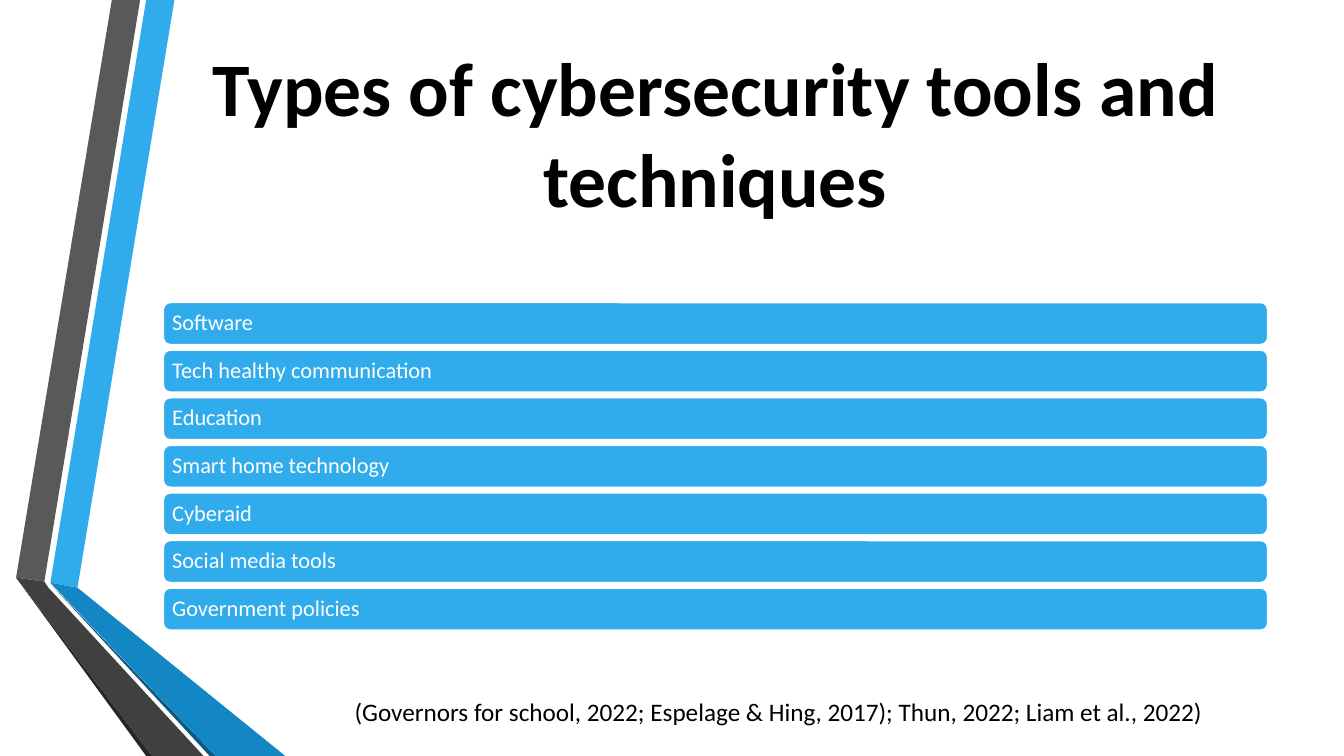
from typing import NamedTuple

from pptx import Presentation
from pptx.dml.color import RGBColor as Rgb
from pptx.enum.shapes import MSO_SHAPE as Kind
from pptx.enum.text import MSO_ANCHOR as Anchor, MSO_AUTO_SIZE as Fit, PP_ALIGN as Align
from pptx.util import Pt

FACE = "Calibri"
BLUE, WHITE, BLACK = "30ACEC", "FFFFFF", "000000"
LEFT, WIDTH = 116.6, 789
FIRST, STEP, TALL = 216, 34, 30.2


class Band(NamedTuple):
    color: str
    points: list[tuple[float, float]]


BANDS = [
    Band(BLUE, [(36, 416.2), (55.4, 419.8), (124.6, 0), (104.4, 0)]),
    Band("595959", [(100.1, 0), (79.9, 0), (11.5, 412.6), (31.7, 415.4)]),
    Band("262626", [(11.5, 412.6), (104.4, 540), (108.7, 540)]),
    Band("0C5A82", [(36, 416.9), (149.8, 540), (154.1, 540)]),
    Band("1287C3", [(36, 416.2), (154.1, 540), (203.8, 540), (55.4, 419.8)]),
    Band("404040", [(145.4, 540), (34.6, 419.8), (31.7, 415.4),
                    (11.5, 412.6), (108.7, 540)]),
]

TOOLS = [
    "Software",
    "Tech healthy communication",
    "Education",
    "Smart home technology",
    "Cyberaid",
    "Social media tools",
    "Government policies",
]


def paint(target, color: str) -> None:
    """Give a fill a solid colour."""
    target.solid()
    target.fore_color.rgb = Rgb.from_string(color)


def style(para, size: float, color: str, bold: bool = False) -> None:
    font = para.font
    font.name, font.size, font.bold = FACE, Pt(size), bold
    paint(font.fill, color)


def place(shape, left: float, top: float, width: float, height: float) -> None:
    shape.left, shape.top = Pt(left), Pt(top)
    shape.width, shape.height = Pt(width), Pt(height)


def draw_band(shapes, band: Band) -> None:
    start, *rest = [(Pt(x), Pt(y)) for x, y in band.points]
    pen = shapes.build_freeform(*start)
    pen.add_line_segments(rest, close=True)
    shape = pen.convert_to_shape()
    shape.shadow.inherit = False
    paint(shape.fill, band.color)
    shape.line.fill.background()


def draw_bar(shapes, text: str, top: float) -> None:
    bar = shapes.add_shape(Kind.ROUNDED_RECTANGLE, Pt(LEFT), Pt(top), Pt(WIDTH), Pt(TALL))
    bar.shadow.inherit = False
    bar.adjustments[0] = 0.167
    paint(bar.fill, BLUE)
    paint(bar.line.fill, WHITE)
    bar.line.width = Pt(1.25)
    frame = bar.text_frame
    frame.word_wrap = True
    frame.vertical_anchor = Anchor.MIDDLE
    frame.margin_left = frame.margin_right = Pt(5)
    frame.margin_top = frame.margin_bottom = Pt(5)
    para = frame.paragraphs[0]
    para.text = text
    para.alignment = Align.LEFT
    para.line_spacing = 0.9
    para.space_after = Pt(5.6)
    style(para, 16, WHITE)


def main() -> None:
    deck = Presentation()
    deck.slide_width, deck.slide_height = Pt(960), Pt(540)
    slide = deck.slides.add_slide(deck.slide_layouts[5])
    shapes = slide.shapes

    # Side ribbons
    for band in BANDS:
        draw_band(shapes, band)

    # Title, seated above the foot of its box
    title = shapes.title
    place(title, LEFT, 54, WIDTH, 138.2)
    frame = title.text_frame
    frame.word_wrap = True
    frame.auto_size = Fit.NONE
    frame.vertical_anchor = Anchor.BOTTOM
    frame.margin_bottom = Pt(33)
    para = frame.paragraphs[0]
    para.text = "Types of cybersecurity tools and techniques"
    para.alignment = Align.CENTER
    style(para, 54, BLACK, bold=True)

    # List of tools
    for row, text in enumerate(TOOLS):
        draw_bar(shapes, text, FIRST + row * STEP)

    # Sources
    box = shapes.add_textbox(Pt(246.2), Pt(493.9), Pt(689), Pt(50.4))
    box.text_frame.word_wrap = True
    para = box.text_frame.paragraphs[0]
    para.text = ("(Governors for school, 2022; Espelage & Hing, 2017); "
                 "Thun, 2022; Liam et al., 2022)")
    style(para, 18, BLACK)

    deck.save("out.pptx")


if __name__ == "__main__":
    main()
